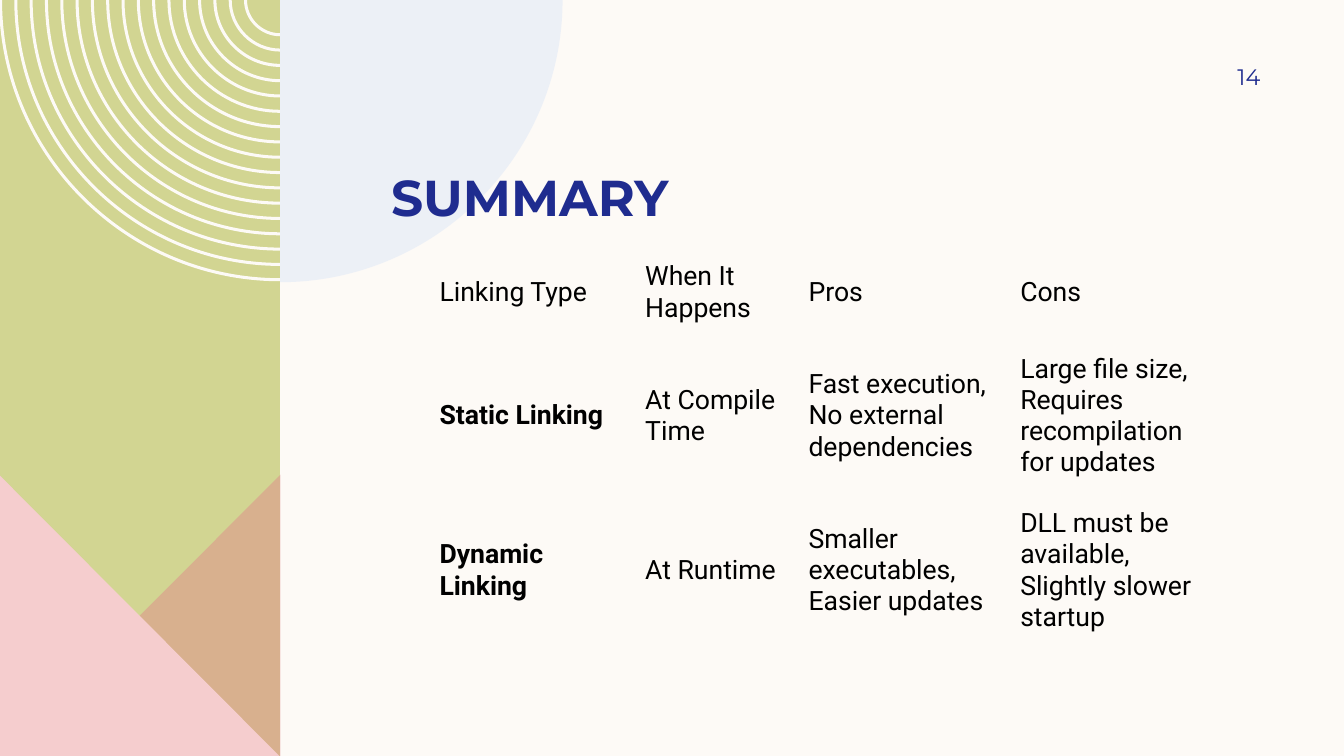
from dataclasses import dataclass

from lxml.etree import SubElement
from pptx import Presentation
from pptx.dml.color import RGBColor
from pptx.enum.text import MSO_ANCHOR as ANCHOR, PP_ALIGN as ALIGN
from pptx.oxml.ns import qn
from pptx.util import Inches, Pt


@dataclass(frozen=True)
class Theme:
    cream: str = "FDFAF6"
    green: str = "D2D592"
    rose: str = "DE8C8C"
    pink: str = "F5CDCE"
    pale_blue: str = "DDE7F6"
    navy: str = "1F2C8F"
    black: str = "000000"
    heading: str = "Montserrat"
    body: str = "Roboto"
    title_size: int = 36
    number_size: int = 16
    table_size: int = 19


THEME = Theme()
PANEL_LEFT, PANEL_RIGHT, SLIDE_HEIGHT = -0.01, 2.78, 7.5
TRIANGLE_TOP, TRIANGLE_BOTTOM = 4.71, 7.51
RING_COUNT, RING_RADIUS, RING_WIDTH = 17, 2.79, 0.03
RING_STEP = (RING_RADIUS - 0.36) / (RING_COUNT - 1)
DISC_RADIUS = 2.8
CURVE = 0.55
NO_STYLE_NO_GRID = "{2D5ABB26-0587-4C30-8999-92F81FD0307C}"

COLUMN_WIDTHS = [2.04, 1.62, 2.1, 2.01]
ROW_HEIGHTS = [0.76, 1.69, 1.38]
LINKING_ROWS = [
    ["Linking Type", "When It Happens", "Pros", "Cons"],
    ["Static Linking", "At Compile Time",
     "Fast execution, No external dependencies",
     "Large file size, Requires recompilation for updates"],
    ["Dynamic Linking", "At Runtime",
     "Smaller executables, Easier updates",
     "DLL must be available, Slightly slower startup"],
]


def set_attrs(obj, values):
    for name, value in values.items():
        setattr(obj, name, value)


def quarter_arc(radius, side):
    unit = [(1, 0), (1, CURVE), (CURVE, 1), (0, 1)]
    return [(PANEL_RIGHT + side * radius * x, radius * y) for x, y in unit]


def ring(index):
    radius = RING_RADIUS - index * RING_STEP
    outer = quarter_arc(radius, -1)
    inner = quarter_arc(radius - RING_WIDTH, -1)[::-1]
    return outer + inner[:1] * 2 + inner


def merge_into_curves(sp):
    lines = list(sp._element.iter(qn("a:lnTo")))
    for i in range(0, len(lines), 3):
        curve, *others = lines[i:i + 3]
        curve.tag = qn("a:cubicBezTo")
        for line in others:
            curve.append(line[0])
            line.getparent().remove(line)


def add_outline(slide, contours, color, opacity=100, curved=False):
    builder = None
    for contour in contours:
        first, *rest = [(Inches(x), Inches(y)) for x, y in contour]
        if builder is None:
            builder = slide.shapes.build_freeform(*first)
        else:
            builder.move_to(*first)
        builder.add_line_segments(rest, close=True)
    sp = builder.convert_to_shape()
    sp.shadow.inherit = False
    sp.line.fill.background()
    sp.fill.solid()
    sp.fill.fore_color.rgb = RGBColor.from_string(color)
    if opacity < 100:
        clr = next(sp._element.spPr.iter(qn("a:srgbClr")))
        SubElement(clr, qn("a:alpha")).set("val", str(opacity * 1000))
    if curved:
        merge_into_curves(sp)


def write_text(tf, text, font, size, color, bold=False, **paragraph):
    p = tf.paragraphs[0]
    set_attrs(p, paragraph)
    r = p.add_run()
    r.text = text
    set_attrs(r.font, {"name": font, "size": Pt(size), "bold": bold})
    r.font.color.rgb = RGBColor.from_string(color)


def add_text(slide, box, frame, *text, **style):
    tf = slide.shapes.add_textbox(*map(Inches, box)).text_frame
    set_attrs(tf, {"word_wrap": True, **frame})
    write_text(tf, *text, **style)


def add_linking_table(slide):
    size = sum(COLUMN_WIDTHS), sum(ROW_HEIGHTS)
    frame = slide.shapes.add_table(
        len(ROW_HEIGHTS), len(COLUMN_WIDTHS), *map(Inches, (4.26, 2.52, *size)))
    table = frame.table
    set_attrs(table, {"first_row": False, "horz_banding": False})
    table._tbl.tblPr.find(qn("a:tableStyleId")).text = NO_STYLE_NO_GRID
    for column, width in zip(table.columns, COLUMN_WIDTHS):
        column.width = Inches(width)
    for i, (row, height) in enumerate(zip(table.rows, ROW_HEIGHTS)):
        row.height = Inches(height)
        for j, (cell, text) in enumerate(zip(row.cells, LINKING_ROWS[i])):
            cell.vertical_anchor = ANCHOR.MIDDLE
            cell.fill.background()
            write_text(cell.text_frame, text, THEME.body, THEME.table_size,
                       THEME.black, bold=i > 0 and j == 0)


def add_side_panel(slide):
    top_left, top_right = (PANEL_LEFT, TRIANGLE_TOP), (PANEL_RIGHT, TRIANGLE_TOP)
    bottom_left = (PANEL_LEFT, TRIANGLE_BOTTOM)
    bottom_right = (PANEL_RIGHT, TRIANGLE_BOTTOM)
    panel = [(PANEL_LEFT, 0), (PANEL_RIGHT, 0),
             (PANEL_RIGHT, SLIDE_HEIGHT), (PANEL_LEFT, SLIDE_HEIGHT)]
    quarter_disc = quarter_arc(DISC_RADIUS, 1) + [(PANEL_RIGHT, 0)] * 3
    add_outline(slide, [panel], THEME.green)
    add_outline(slide, [ring(i) for i in range(RING_COUNT)], THEME.cream, curved=True)
    add_outline(slide, [[top_right, bottom_right, bottom_left]], THEME.rose, 50)
    add_outline(slide, [[top_left, bottom_right, bottom_left]], THEME.pink)
    add_outline(slide, [quarter_disc], THEME.pale_blue, 50, curved=True)


def main():
    prs = Presentation()
    set_attrs(prs, {"slide_width": Inches(13.33), "slide_height": Inches(SLIDE_HEIGHT)})
    slide = prs.slides.add_slide(prs.slide_layouts[6])
    slide.background.fill.solid()
    slide.background.fill.fore_color.rgb = RGBColor.from_string(THEME.cream)
    add_side_panel(slide)
    add_text(slide, (3.78, 1.16, 8.71, 1.09),
             {"vertical_anchor": ANCHOR.BOTTOM, "margin_top": 0, "margin_bottom": 0},
             "SUMMARY", THEME.heading, THEME.title_size, THEME.navy, bold=True)
    add_text(slide, (11.33, 0.5, 1.17, 0.52),
             {"vertical_anchor": ANCHOR.MIDDLE, "margin_right": 0},
             "14", THEME.heading, THEME.number_size, THEME.navy,
             alignment=ALIGN.RIGHT, space_after=Pt(6))
    add_linking_table(slide)
    prs.save("out.pptx")


if __name__ == "__main__":
    main()
